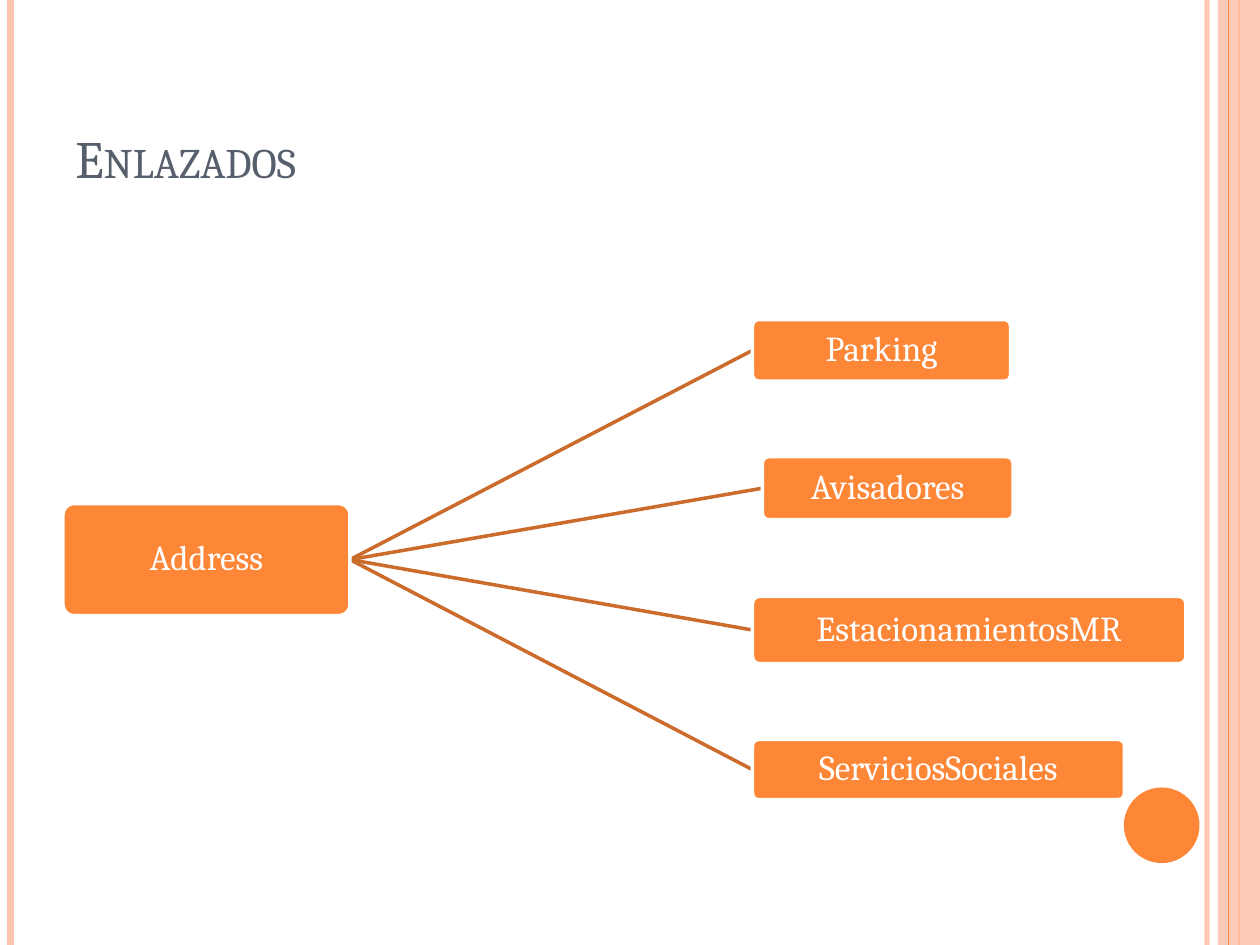
from lxml.etree import SubElement
from pptx import Presentation
from pptx.dml.color import RGBColor
from pptx.enum.shapes import MSO_CONNECTOR, MSO_SHAPE
from pptx.enum.text import MSO_ANCHOR, PP_ALIGN
from pptx.oxml.ns import qn
from pptx.util import Pt

COLORS = {"orange": "FE8637", "peach": "FEC3AE", "rust": "CB6B2C",
          "slate": "575F6D", "white": "FFFFFF"}
RGB = {name: RGBColor.from_string(value) for name, value in COLORS.items()}
WIDTH, HEIGHT = 720, 540

prs = Presentation()
prs.slide_width, prs.slide_height = Pt(WIDTH), Pt(HEIGHT)
s = prs.slides.add_slide(prs.slide_layouts[6])


def add_line(x1, y1, x2, y2, color, width):
    """Draw a straight line without a shadow and return it."""
    line = s.shapes.add_connector(MSO_CONNECTOR.STRAIGHT, Pt(x1), Pt(y1), Pt(x2), Pt(y2))
    line.line.color.rgb = RGB[color]
    line.line.width = Pt(width)
    SubElement(line._element.spPr, qn("a:effectLst"))
    return line


def add_shape(kind, x, y, w, h, color):
    """Draw a filled preset shape without outline or shadow and return it."""
    sp = s.shapes.add_shape(kind, Pt(x), Pt(y), Pt(w), Pt(h))
    sp.shadow.inherit = False
    sp.fill.solid()
    sp.fill.fore_color.rgb = RGB[color]
    sp.line.fill.background()
    return sp


# Side stripes and corner circle
right_stripe = add_line(689.8, 0, 689.8, HEIGHT, "peach", 3)
add_line(6, 0, 6, HEIGHT, "peach", 4.5)
add_line(708, 0, 708, HEIGHT, "orange", 1.5)
band = add_shape(MSO_SHAPE.RECTANGLE, 696, 0, 24, HEIGHT, "peach")
add_line(702, 0, 702, HEIGHT, "orange", 0.75)
add_shape(MSO_SHAPE.OVAL, 642.25, 450, 43.2, 43.2, "orange")
for sp, percent in ((right_stripe, 93), (band, 87)):
    color = next(sp._element.spPr.iter(qn("a:srgbClr")))
    SubElement(color, qn("a:alpha"), val=str(percent * 1000))

# Title
title = s.shapes.add_textbox(Pt(36), Pt(21.6), Pt(588), Pt(90))
tf = title.text_frame
tf.word_wrap = True
tf.vertical_anchor = MSO_ANCHOR.BOTTOM
r = tf.paragraphs[0].add_run()
r.text = "Enlazados"
r.font.name, r.font.size = "Cambria", Pt(30)
r.font.color.rgb = RGB["slate"]
r._r.get_or_add_rPr().set("cap", "small")

# Root box first, then the boxes linked to it
boxes = [
    ("Address", 36, 287.8, 164, 64),
    ("Parking", 430, 182.6, 147.5, 35.2),
    ("Avisadores", 435.6, 261, 143.3, 36),
    ("EstacionamientosMR", 430, 340.8, 247.6, 38.4),
    ("ServiciosSociales", 430, 422.6, 212.6, 34.4),
]
_, root_x, root_y, root_w, root_h = boxes[0]
for _, x, y, w, h in boxes[1:]:
    add_line(root_x + root_w, root_y + root_h / 2, x, y + h / 2, "rust", 2)

for text, x, y, w, h in boxes:
    sp = add_shape(MSO_SHAPE.ROUNDED_RECTANGLE, x, y, w, h, "orange")
    sp.adjustments[0] = 0.1
    sp.line.color.rgb = RGB["white"]
    sp.line.width = Pt(2)
    tf = sp.text_frame
    tf.word_wrap = True
    tf.vertical_anchor = MSO_ANCHOR.MIDDLE
    tf.margin_left = tf.margin_right = tf.margin_top = tf.margin_bottom = Pt(1)
    p = tf.paragraphs[0]
    p.alignment = PP_ALIGN.CENTER
    p.line_spacing = 0.9
    r = p.add_run()
    r.text = text
    r.font.name, r.font.size = "Cambria", Pt(20)
    r.font.color.rgb = RGB["white"]

prs.save("out.pptx")
